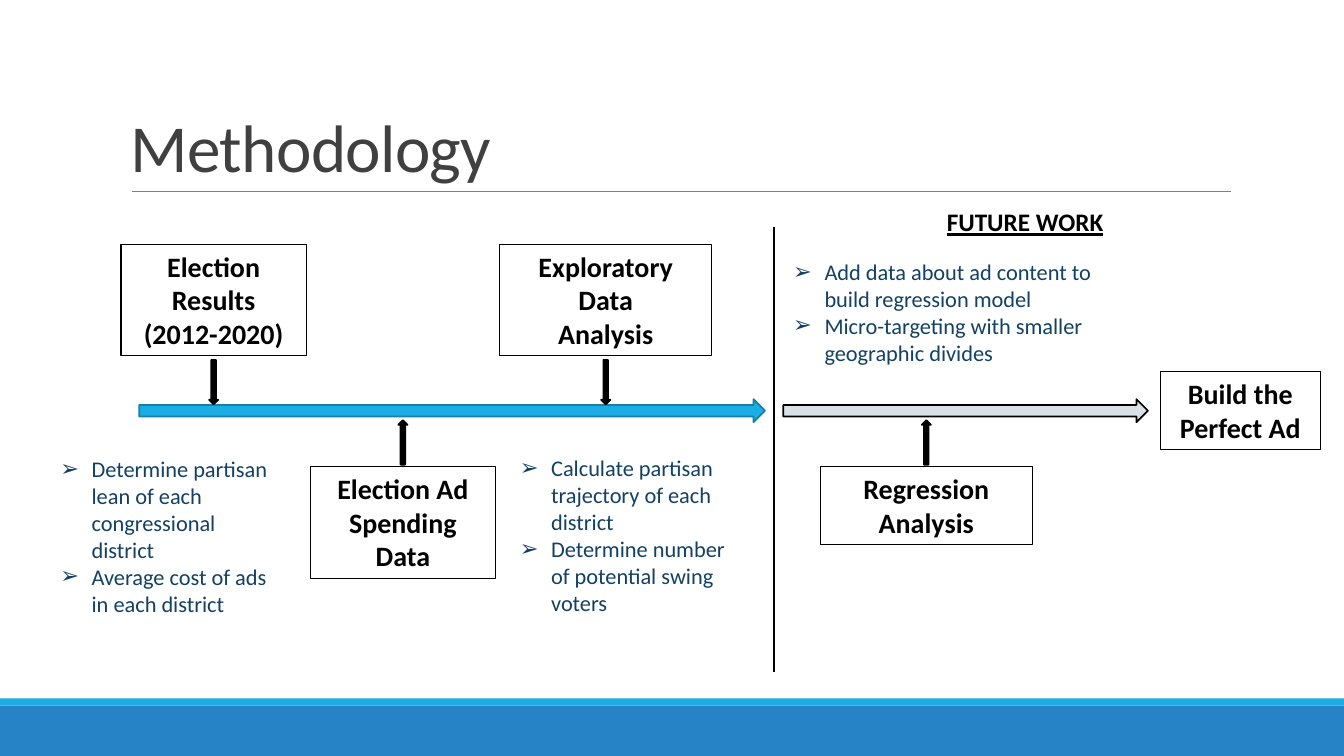
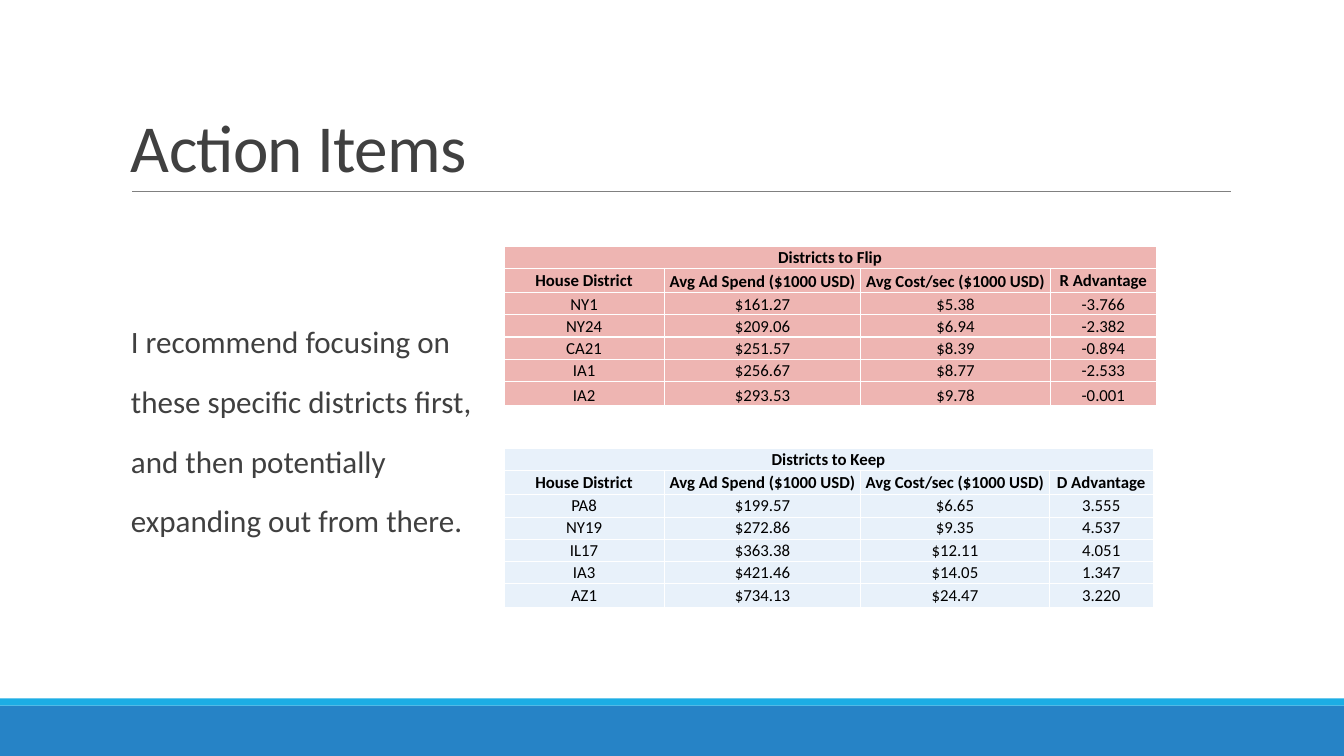
from lxml import etree
from pptx import Presentation
from pptx.dml.color import RGBColor
from pptx.enum import shapes, text
from pptx.oxml import ns
from pptx.util import Cm, Pt

FONT = "Calibri"
BLACK = "000000"
WHITE = "FFFFFF"
INK = "404040"
NAVY = "134163"
SKY = "1CADE4"
BLUE = "2683C6"
PALE_RED = "EEB5B2"
PALE_BLUE = "E8F1FA"

SLIDE_W, SLIDE_H = 33.87, 19.05
TIMELINE_Y, TIMELINE_H = 10.06, 0.58
POINTER_W, POINTER_H = 0.23, 1.12
POINTER_DOWN_Y, POINTER_UP_Y = 9.07, 10.59
ABOVE_Y, BELOW_Y = 6.15, 11.76
TWO_LINES, THREE_LINES = 1.96, 2.82
TABLE_X = 12.7
ROW_HEIGHTS = [0.56, 0.61, 0.56, 0.56, 0.56, 0.56, 0.61]

CENTER = text.PP_ALIGN.CENTER
TOP, MIDDLE, BOTTOM = text.MSO_ANCHOR.TOP, text.MSO_ANCHOR.MIDDLE, text.MSO_ANCHOR.BOTTOM


def color(value):
    return RGBColor.from_string(value)


def add_xml(parent, tag, **attributes):
    return etree.SubElement(parent, ns.qn(tag), attributes)


def write(frame, content, size, ink=BLACK, bold=False, align=None):
    frame.word_wrap = True
    frame.text = content
    for paragraph in frame.paragraphs:
        paragraph.alignment = align
        for run in paragraph.runs:
            run.font.name = FONT
            run.font.size = Pt(size)
            run.font.bold = bold
            run.font.color.rgb = color(ink)


def add_label(slide, place, content, size, **style):
    frame = slide.shapes.add_textbox(*map(Cm, place)).text_frame
    write(frame, content, size, **style)
    return frame


def add_figure(slide, preset, place, fill=None, line=None, width=1.25):
    figure = slide.shapes.add_shape(preset, *map(Cm, place))
    figure.shadow.inherit = False
    if fill:
        figure.fill.solid()
        figure.fill.fore_color.rgb = color(fill)
    else:
        figure.fill.background()
    if line:
        figure.line.color.rgb = color(line)
        figure.line.width = Pt(width)
    else:
        figure.line.fill.background()
    return figure


def add_rule(slide, start, end, ink, width):
    rule = slide.shapes.add_connector(
        shapes.MSO_CONNECTOR.STRAIGHT, *map(Cm, start + end))
    rule.line.color.rgb = color(ink)
    rule.line.width = Pt(width)
    add_xml(rule._element.spPr, "a:effectLst")


def add_titled_slide(deck, title):
    slide = deck.slides.add_slide(deck.slide_layouts[6])
    rectangle = shapes.MSO_SHAPE.RECTANGLE
    add_figure(slide, rectangle, (0, 17.78, SLIDE_W, 1.27), BLUE)
    add_figure(slide, rectangle, (0, 17.6, SLIDE_W, 0.18), SKY)
    add_rule(slide, (3.33, 4.83), (31.01, 4.83), "808080", 0.5)
    heading = add_label(slide, (3.05, 0.79, 27.94, 4.04), title, 48, ink=INK)
    heading.vertical_anchor = BOTTOM
    paragraph = heading.paragraphs[0]
    paragraph.line_spacing = 0.85
    paragraph.runs[0].font._element.set("spc", "-50")
    return slide


def add_step(slide, place, content):
    step = add_figure(slide, shapes.MSO_SHAPE.RECTANGLE, place, line=BLACK, width=0.75)
    write(step.text_frame, content, 20, bold=True, align=CENTER)
    step.text_frame.vertical_anchor = TOP


def add_timeline_step(slide, left, width, height, content, above):
    add_step(slide, (left, ABOVE_Y if above else BELOW_Y, width, height), content)
    preset = shapes.MSO_SHAPE.DOWN_ARROW if above else shapes.MSO_SHAPE.UP_ARROW
    top = POINTER_DOWN_Y if above else POINTER_UP_Y
    pointer_x = left + (width - POINTER_W) / 2
    add_figure(slide, preset, (pointer_x, top, POINTER_W, POINTER_H), BLACK, BLACK)


def add_timeline(slide, left, width, fill, line):
    place = (left, TIMELINE_Y, width, TIMELINE_H)
    add_figure(slide, shapes.MSO_SHAPE.RIGHT_ARROW, place, fill, line)


def add_bullets(slide, place, items):
    frame = add_label(slide, place, "\n".join(items), 16, ink=NAVY)
    for paragraph in frame.paragraphs:
        properties = paragraph._p.get_or_add_pPr()
        properties.set("marL", str(Cm(0.79)))
        properties.set("indent", str(Cm(-0.79)))
        add_xml(properties, "a:buFont", typeface="Arial")
        add_xml(properties, "a:buChar", char="➢")


def format_cell(cell, content, fill, bold, anchor):
    cell.margin_left = cell.margin_right = cell.margin_top = cell.margin_bottom = 0
    cell.vertical_anchor = anchor
    write(cell.text_frame, content, 12, bold=bold, align=CENTER)
    properties = cell._tc.get_or_add_tcPr()
    for side in ("a:lnL", "a:lnR", "a:lnT", "a:lnB"):
        border = add_xml(properties, side, w=str(Pt(1)))
        add_xml(add_xml(border, "a:solidFill"), "a:srgbClr", val=WHITE)
    cell.fill.solid()
    cell.fill.fore_color.rgb = color(fill)


def add_districts(slide, top, widths, title, party, districts, fill, anchor):
    header = ["House District", "Avg Ad Spend ($1000 USD)",
              "Avg Cost/sec ($1000 USD)", f"{party} Advantage"]
    rows = [[title, "", "", ""], header, *districts]
    place = (TABLE_X, top, sum(widths), sum(ROW_HEIGHTS))
    table = slide.shapes.add_table(len(rows), len(header), *map(Cm, place)).table
    for column, width in zip(table.columns, widths):
        column.width = Cm(width)
    for row, height in zip(table.rows, ROW_HEIGHTS):
        row.height = Cm(height)
    for r, values in enumerate(rows):
        for c, value in enumerate(values):
            outer_header = r == 1 and c in (0, 3)
            format_cell(table.cell(r, c), value, fill, r < 2,
                        MIDDLE if outer_header else anchor)
    table.cell(0, 0).merge(table.cell(0, 3))


def build_methodology(deck):
    slide = add_titled_slide(deck, "Methodology")
    add_timeline(slide, 3.51, 15.77, SKY, "1580A9")
    add_timeline(slide, 19.74, 9.19, "D9E0E6", BLACK)
    for step in [
        (3.05, 4.67, THREE_LINES, "Election Results\n(2012-2020)", True),
        (7.82, 4.67, THREE_LINES, "Election Ad Spending Data", False),
        (12.6, 5.33, THREE_LINES, "Exploratory Data\nAnalysis", True),
        (20.68, 5.33, TWO_LINES, "Regression Analysis", False),
    ]:
        add_timeline_step(slide, *step)
    add_step(slide, (29.24, 9.37, 4.04, TWO_LINES), "Build the Perfect Ad")
    add_bullets(slide, (1.27, 11.35, 5.74, 4.37), [
        "Determine partisan lean of each congressional district",
        "Average cost of ads in each district"])
    add_bullets(slide, (12.85, 11.33, 5.74, 4.37), [
        "Calculate partisan trajectory of each district",
        "Determine number of potential swing voters"])
    add_bullets(slide, (19.74, 6.38, 8.41, 3), [
        "Add data about ad content to build regression model",
        "Micro-targeting with smaller geographic divides"])
    add_rule(slide, (19.51, 5.72), (19.51, 16.94), BLACK, 1.5)
    future = add_label(slide, (22.43, 5.08, 6.81, 1.02), "FUTURE WORK", 18,
                       bold=True, align=CENTER)
    future.paragraphs[0].runs[0].font.underline = True


def build_action_items(deck):
    slide = add_titled_slide(deck, "Action Items")
    add_districts(slide, 6.2, [4.04, 4.95, 4.78, 2.67], "Districts to Flip", "R", [
        ["NY1", "$161.27", "$5.38", "-3.766"],
        ["NY24", "$209.06", "$6.94", "-2.382"],
        ["CA21", "$251.57", "$8.39", "-0.894"],
        ["IA1", "$256.67", "$8.77", "-2.533"],
        ["IA2", "$293.53", "$9.78", "-0.001"],
    ], PALE_RED, BOTTOM)
    add_districts(slide, 11.3, [4.04, 4.95, 4.75, 2.62], "Districts to Keep", "D", [
        ["PA8", "$199.57", "$6.65", "3.555"],
        ["NY19", "$272.86", "$9.35", "4.537"],
        ["IL17", "$363.38", "$12.11", "4.051"],
        ["IA3", "$421.46", "$14.05", "1.347"],
        ["AZ1", "$734.13", "$24.47", "3.220"],
    ], PALE_BLUE, MIDDLE)
    advice = add_label(
        slide, (3.05, 7.44, 8.92, 6.55),
        "I recommend focusing on these specific districts first, "
        "and then potentially expanding out from there.", 22.2, ink=INK)
    advice.margin_left, advice.margin_right = Cm(0.25), 0
    paragraph = advice.paragraphs[0]
    paragraph.line_spacing = 1.6
    paragraph.space_before = Pt(12)
    paragraph.space_after = Pt(2)


def main():
    deck = Presentation()
    deck.slide_width, deck.slide_height = Cm(SLIDE_W), Cm(SLIDE_H)
    build_methodology(deck)
    build_action_items(deck)
    deck.save("out.pptx")


if __name__ == "__main__":
    main()
